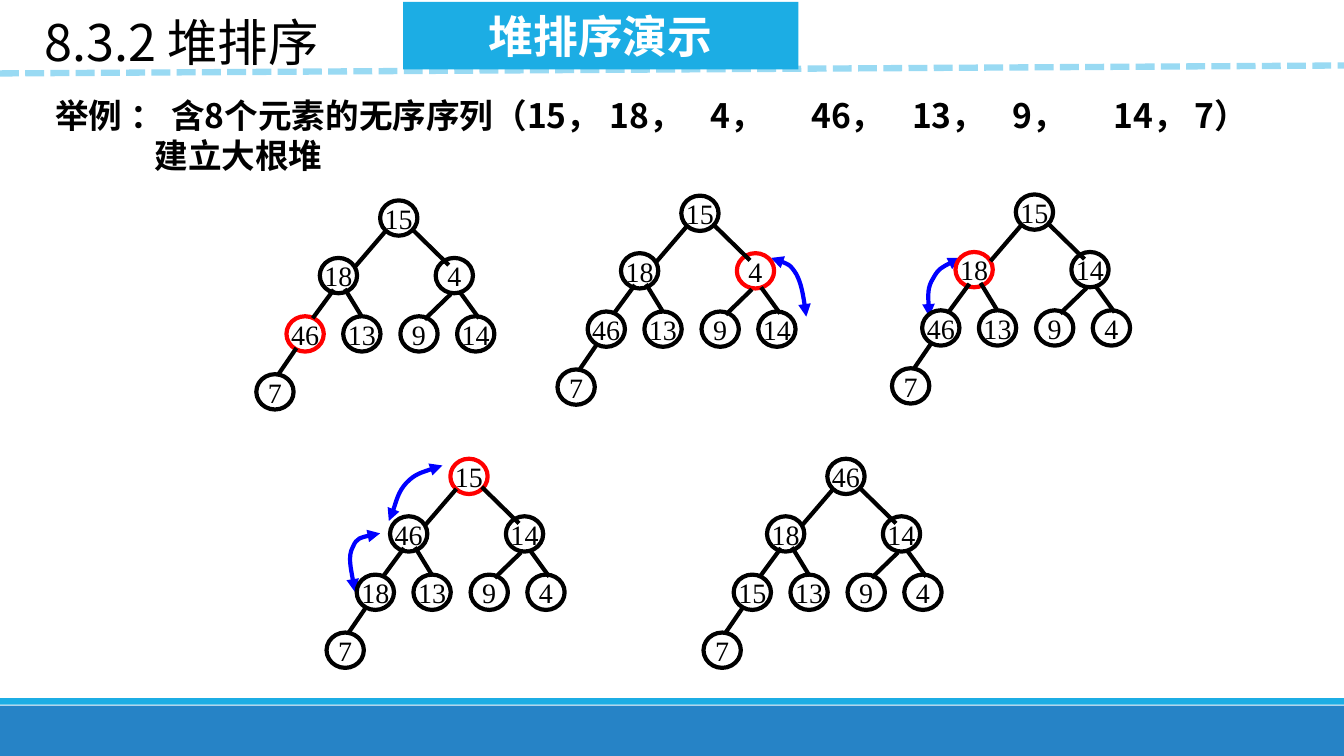
"""Build the heap sort slide: five binary trees with swap arrows."""
from dataclasses import dataclass
from typing import Optional

from lxml import etree
from pptx import Presentation
from pptx.dml.color import RGBColor
from pptx.enum.dml import MSO_LINE
from pptx.enum.shapes import MSO_CONNECTOR, MSO_SHAPE
from pptx.enum.text import MSO_ANCHOR, MSO_AUTO_SIZE, PP_ALIGN
from pptx.oxml.ns import qn
from pptx.util import Cm, Pt

OVAL, RECT = MSO_SHAPE.OVAL, MSO_SHAPE.RECTANGLE
STRAIGHT, DASH = MSO_CONNECTOR.STRAIGHT, MSO_LINE.SQUARE_DOT
TOP, MIDDLE = MSO_ANCHOR.TOP, MSO_ANCHOR.MIDDLE
LEFT, CENTER = PP_ALIGN.LEFT, PP_ALIGN.CENTER
NO_FIT = MSO_AUTO_SIZE.NONE

COLORS = {
    "black": "000000", "white": "FFFFFF", "red": "FF0000", "swap": "0000FF",
    "accent": "1CADE4", "footer": "2683C6", "dash": "99DAF3",
}
SANS, SERIF = "Noto Sans CJK SC", "Times New Roman"
NODE_W, NODE_H = 0.94, 0.89
NODES = [(0, 0), (-1.52, 1.45), (1.4, 1.45), (-2.36, 2.92),
         (-0.93, 2.92), (0.51, 2.92), (1.94, 2.92), (-3.12, 4.38)]
EDGES = [(0.15, 0.76, -0.64, 1.68), (-1.17, 2.25, -1.7, 2.97),
         (-2.11, 3.72, -2.59, 4.42), (0.79, 0.71, 1.73, 1.63),
         (2.01, 2.31, 2.49, 2.97), (-0.89, 2.23, -0.48, 2.9),
         (1.78, 2.36, 1.12, 3)]
TAB_STOPS = [15.13, 17.75, 19.9, 22.54, 25.16, 27.33]


@dataclass
class Tree:
    """A heap in level order, placed by its root."""
    x: float
    y: float
    values: list[int]
    active: Optional[int] = None
    filled: Optional[int] = None


TREES = [
    Tree(9.58, 5.05, [15, 18, 4, 46, 13, 9, 14, 7], active=3),
    Tree(17.17, 4.93, [15, 18, 4, 46, 13, 9, 14, 7], active=2),
    Tree(25.6, 4.9, [15, 18, 14, 46, 13, 9, 4, 7], active=1, filled=1),
    Tree(11.35, 11.56, [15, 46, 14, 18, 13, 9, 4, 7], active=0, filled=1),
    Tree(20.85, 11.56, [46, 18, 14, 15, 13, 9, 4, 7]),
]
SWAPS = [
    [(24.21, 6.5), (23.93, 6.63), (23.65, 6.76), (23.52, 7.01),
     (23.37, 7.24), (23.39, 7.62), (23.42, 7.98)],
    [(19.43, 6.5), (19.69, 6.58), (19.91, 6.65), (20.07, 6.91),
     (20.19, 7.14), (20.27, 7.57), (20.32, 7.98)],
    [(11.15, 11.73), (10.82, 11.84), (10.46, 11.94), (10.24, 12.17),
     (10.03, 12.4), (9.88, 13), (9.8, 13.13)],
    [(9.58, 13.44), (9.3, 13.49), (8.99, 13.54), (8.89, 13.79),
     (8.76, 14.02), (8.92, 14.73), (8.94, 14.91)],
]


def rgb(name: str) -> RGBColor:
    """Look up a named colour."""
    return RGBColor.from_string(COLORS[name])


def add_text(p, text: str, size: float, font: str, color: str = "black",
             bold: bool = False) -> None:
    """Append one formatted run."""
    r = p.add_run()
    r.text = text
    r.font.size, r.font.bold, r.font.name = Pt(size), bold, font
    r.font.color.rgb = rgb(color)
    etree.SubElement(r.font._element, qn("a:ea"), typeface=font)


def place(sp, x: float, y: float, w: float, h: float) -> None:
    """Move and size a placeholder."""
    sp.left, sp.top, sp.width, sp.height = Cm(x), Cm(y), Cm(w), Cm(h)


def add_box(shapes, kind, x: float, y: float, w: float, h: float,
            fill: Optional[str] = None, line: Optional[str] = None):
    """Draw a preset shape with optional fill and outline."""
    sp = shapes.add_shape(kind, Cm(x), Cm(y), Cm(w), Cm(h))
    sp.shadow.inherit = False
    if fill:
        sp.fill.solid()
        sp.fill.fore_color.rgb = rgb(fill)
    else:
        sp.fill.background()
    if line:
        sp.line.color.rgb, sp.line.width = rgb(line), Pt(3)
    else:
        sp.line.fill.background()
    return sp


def add_label(sp, text: str, size: float, font: str, color: str = "black",
              bold: bool = False) -> None:
    """Centre a label in a shape."""
    tf = sp.text_frame
    tf.word_wrap, tf.vertical_anchor = False, MIDDLE
    tf.margin_left = tf.margin_right = tf.margin_top = tf.margin_bottom = 0
    p = tf.paragraphs[0]
    p.alignment = CENTER
    add_text(p, text, size, font, color, bold)


def add_line(shapes, x1: float, y1: float, x2: float, y2: float,
             color: str = "black", width: float = 3):
    """Draw a straight connector."""
    ln = shapes.add_connector(STRAIGHT, Cm(x1), Cm(y1), Cm(x2), Cm(y2))
    ln.line.color.rgb, ln.line.width = rgb(color), Pt(width)
    etree.SubElement(ln._element.spPr, qn("a:effectLst"))
    return ln


def add_tree(shapes, tree: Tree) -> None:
    """Draw one heap as a group of nodes and edges."""
    group = shapes.add_group_shape().shapes
    for i, ((dx, dy), value) in enumerate(zip(NODES, tree.values)):
        sp = add_box(group, OVAL, tree.x + dx, tree.y + dy, NODE_W, NODE_H,
                     "white" if i == tree.filled else None,
                     "red" if i == tree.active else "black")
        add_label(sp, str(value), 20, SERIF)
    for x1, y1, x2, y2 in EDGES:
        add_line(group, tree.x + x1, tree.y + y1, tree.x + x2, tree.y + y2)


def add_swap(shapes, points: list[tuple[float, float]]) -> None:
    """Draw a two-headed arrow along cubic curves."""
    emu = [(Cm(x), Cm(y)) for x, y in points]
    builder = shapes.build_freeform(*emu[0])
    builder.add_line_segments(emu[1:], close=False)
    sp = builder.convert_to_shape()
    sp.shadow.inherit = False
    sp.fill.background()
    sp.line.color.rgb, sp.line.width = rgb("swap"), Pt(3)
    segments = list(sp._element.iter(qn("a:lnTo")))
    outline = segments[0].getparent()
    for i in range(0, len(segments), 3):
        curve = etree.SubElement(outline, qn("a:cubicBezTo"))
        for segment in segments[i:i + 3]:
            curve.append(segment[0])
            outline.remove(segment)
    ln = sp._element.spPr.find(qn("a:ln"))
    for end in ("a:headEnd", "a:tailEnd"):
        etree.SubElement(ln, qn(end), type="triangle")


def fill_title(sp) -> None:
    """Write the section title."""
    place(sp, 0.86, 0.13, 7.75, 1.8)
    tf = sp.text_frame
    tf.auto_size, tf.word_wrap, tf.vertical_anchor = NO_FIT, False, MIDDLE
    p = tf.paragraphs[0]
    p.alignment = LEFT
    add_text(p, "8.3.2 堆排序", 36, SANS)


def fill_body(sp) -> None:
    """Write the example statement."""
    place(sp, 1.14, 2.21, 30.99, 2.31)
    tf = sp.text_frame
    tf.auto_size, tf.word_wrap, tf.vertical_anchor = NO_FIT, True, TOP
    tf.margin_top, tf.margin_right = Cm(0.2), Cm(0.6)
    lines = [
        ("举例 ： 含8个元素的无序序列（15，\t18，\t4，\t46，\t13，\t9，\t14， 7）", 0),
        ("建立大根堆", 2.5),
    ]
    for i, (text, indent) in enumerate(lines):
        p = tf.add_paragraph() if i else tf.paragraphs[0]
        p.alignment, p.line_spacing, p.space_before = LEFT, Pt(28.5), Pt(0)
        pPr = p._p.get_or_add_pPr()
        pPr.set("marL", str(Cm(indent)))
        pPr.set("indent", "0")
        etree.SubElement(pPr, qn("a:buNone"))
        if "\t" in text:
            tabs = etree.SubElement(pPr, qn("a:tabLst"))
            for stop in TAB_STOPS:
                etree.SubElement(tabs, qn("a:tab"), pos=str(Cm(stop)), algn="l")
        add_text(p, text, 24, SANS, bold=True)


def main() -> None:
    """Build and save the slide."""
    prs = Presentation()
    prs.slide_width, prs.slide_height = Cm(33.87), Cm(19.05)
    s = prs.slides.add_slide(prs.slide_layouts[1])
    add_box(s.shapes, RECT, 0, 17.78, 33.87, 1.27, "footer")
    add_box(s.shapes, RECT, 0, 17.59, 33.87, 0.17, "accent")
    fill_title(s.shapes.title)
    fill_body(s.placeholders[1])
    for points in SWAPS:
        add_swap(s.shapes, points)
    for tree in TREES:
        add_tree(s.shapes, tree)
    add_line(s.shapes, 0, 1.85, 33.87, 1.65, "dash", 4.5).line.dash_style = DASH
    banner = add_box(s.shapes, RECT, 10.16, 0.05, 9.96, 1.7, "accent")
    add_label(banner, "堆排序演示", 32, SANS, "white", True)
    prs.save("out.pptx")


if __name__ == "__main__":
    main()
